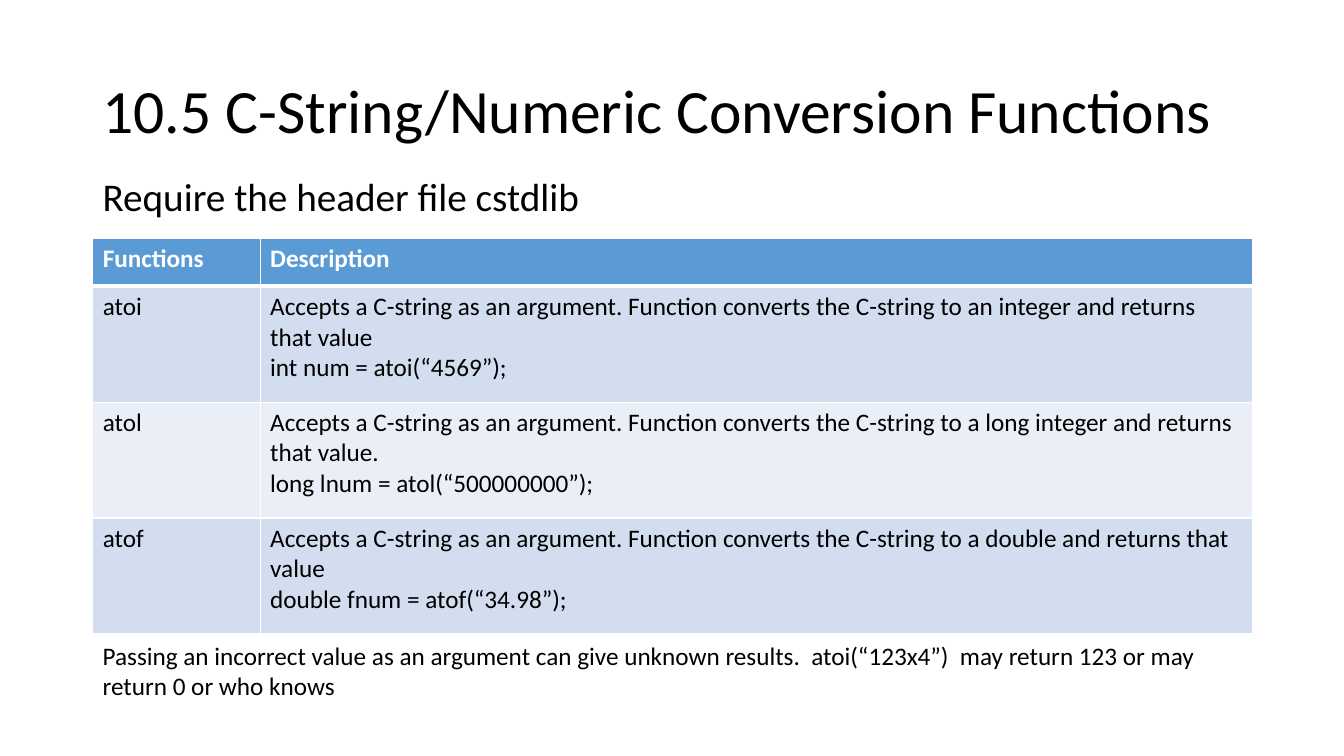
"""Builds a slide on the C-string to number conversion functions."""
from lxml import etree
from pptx import Presentation, util as u
from pptx.dml.color import RGBColor
from pptx.enum import text
from pptx.oxml.ns import qn

TITLE = "10.5 C-String/Numeric Conversion Functions"
REQUIREMENT = "Require the header file cstdlib"
WARNING = ("Passing an incorrect value as an argument can give unknown results.  "
           "atoi(“123x4”)  may return 123 or may return 0 or who knows")
HEADER = ("Functions", "Description")
ACCEPTS = "Accepts a C-string as an argument. Function converts the C-string to "
FUNCTIONS = [
    ("atoi", "an integer and returns that value", "int num = atoi(“4569”);"),
    ("atol", "a long integer and returns that value.", "long lnum = atol(“500000000”);"),
    ("atof", "a double and returns that value", "double fnum = atof(“34.98”);"),
]

THEME = {
    "font": "Calibri", "title": 44, "lead": 28, "body": 18,
    "ink": "000000", "paper": "FFFFFF",
    "header": "5B9BD5", "bands": ("D2DEEF", "EAEFF7"),
}
LEFT, WIDTH = 0.92, 11.5
TABLE_TOP, HEADER_HEIGHT, ROW_HEIGHT = 2.37, 0.47, 1.15
COLUMNS = (1.66, 9.84)
THIN, THICK = 1, 3


def style(p, size, color="ink", bold=False):
    f = p.font
    f.name, f.size, f.bold = THEME["font"], u.Pt(THEME[size]), bold
    f.color.rgb = RGBColor.from_string(THEME[color])


def add_text(s, words, top, height, size):
    sp = s.shapes.add_textbox(*map(u.Inches, (LEFT, top, WIDTH, height)))
    tf = sp.text_frame
    tf.word_wrap = True
    tf.text = words
    style(tf.paragraphs[0], size)
    return tf


def add_borders(cell, top, bottom):
    tc_pr = cell._tc.get_or_add_tcPr()
    for side, width in (("L", THIN), ("R", THIN), ("T", top), ("B", bottom)):
        ln = etree.SubElement(tc_pr, qn(f"a:ln{side}"), w=str(u.Pt(width)))
        fill = etree.SubElement(ln, qn("a:solidFill"))
        etree.SubElement(fill, qn("a:srgbClr"), val=THEME["paper"])


def add_table(s):
    rows = [HEADER] + [(name, f"{ACCEPTS}{result}\v{example}")
                       for name, result, example in FUNCTIONS]
    heights = [HEADER_HEIGHT] + [ROW_HEIGHT] * len(FUNCTIONS)
    table = s.shapes.add_table(
        len(rows), len(COLUMNS),
        *map(u.Inches, (LEFT, TABLE_TOP, WIDTH, sum(heights)))).table
    for column, width in zip(table.columns, COLUMNS):
        column.width = u.Inches(width)
    for i, (row, height) in enumerate(zip(rows, heights)):
        table.rows[i].height = u.Inches(height)
        is_header = i == 0
        color = THEME["header"] if is_header else THEME["bands"][(i - 1) % 2]
        for j, words in enumerate(row):
            cell = table.cell(i, j)
            add_borders(cell, THICK if i == 1 else THIN, THICK if is_header else THIN)
            cell.fill.solid()
            cell.fill.fore_color.rgb = RGBColor.from_string(color)
            cell.text_frame.text = words
            style(cell.text_frame.paragraphs[0], "body",
                  "paper" if is_header else "ink", is_header)


def main():
    prs = Presentation()
    prs.slide_width, prs.slide_height = u.Inches(13.33), u.Inches(7.5)
    s = prs.slides.add_slide(prs.slide_layouts[6])
    title = add_text(s, TITLE, 0.4, 1.45, "title")
    title.vertical_anchor = text.MSO_ANCHOR.MIDDLE
    title.paragraphs[0].line_spacing = 0.9
    add_table(s)
    add_text(s, WARNING, 6.3, 0.71, "body")
    add_text(s, REQUIREMENT, 1.66, 0.91, "lead")
    prs.save("out.pptx")


if __name__ == "__main__":
    main()
